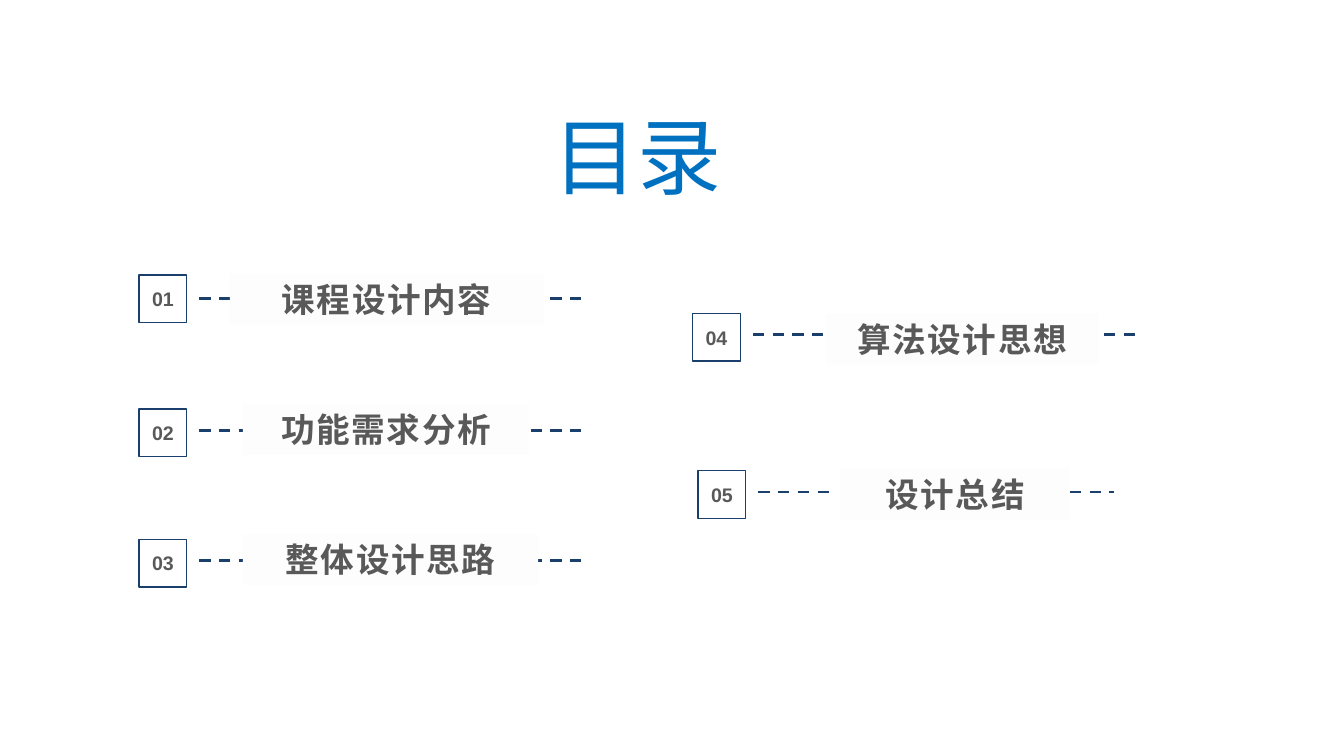
from dataclasses import dataclass
from pptx import Presentation
from pptx import util as u
from pptx.dml.color import RGBColor
from pptx.enum import dml, shapes, text
from pptx.oxml.ns import qn
from lxml import etree


@dataclass(frozen=True)
class Theme:
    font: str = "Arial"
    blue: str = "0070C0"
    navy: str = "1A3F6C"
    gray: str = "595959"
    pale: str = "FDFDFE"
    title: int = 60
    label: int = 24
    num: int = 14


class Deck:
    def __init__(self, theme):
        self.theme = theme
        self.prs = Presentation()
        self.prs.slide_width, self.prs.slide_height = u.Pt(960), u.Pt(540)
        self.slide = self.prs.slides.add_slide(self.prs.slide_layouts[6])

    def words(self, shape, words, size, color, bold=True, align=text.PP_ALIGN.CENTER):
        par = shape.text_frame.paragraphs[0]
        par.text = words
        par.alignment = align
        font = par.font
        font.name, font.size, font.bold = self.theme.font, u.Pt(size), bold
        font.color.rgb = RGBColor.from_string(color)
        return par

    def rect(self, x, y, w, h):
        shape = self.slide.shapes.add_shape(
            shapes.MSO_SHAPE.RECTANGLE, u.Pt(x), u.Pt(y), u.Pt(w), u.Pt(h))
        shape.shadow.inherit = False
        return shape

    def title(self, words, x, y, w, h):
        box = self.slide.shapes.add_textbox(u.Pt(x), u.Pt(y), u.Pt(w), u.Pt(h))
        box.text_frame.word_wrap = True
        box.text_frame.auto_size = text.MSO_AUTO_SIZE.SHAPE_TO_FIT_TEXT
        self.words(box, words, self.theme.title, self.theme.blue, False,
                   text.PP_ALIGN.JUSTIFY)

    def badge(self, num, x, y, side=34):
        box = self.rect(x, y, side, side)
        box.fill.background()
        box.line.color.rgb = RGBColor.from_string(self.theme.navy)
        box.line.width = u.Pt(1)
        frame = box.text_frame
        frame.vertical_anchor = text.MSO_ANCHOR.MIDDLE
        frame.margin_left = frame.margin_right = 0
        self.words(box, num, self.theme.num, self.theme.gray)

    def dash(self, x, y, w):
        line = self.slide.shapes.add_connector(
            shapes.MSO_CONNECTOR.STRAIGHT, u.Pt(x), u.Pt(y), u.Pt(x + w), u.Pt(y))
        line.line.color.rgb = RGBColor.from_string(self.theme.navy)
        line.line.width = u.Pt(0)
        line.line.dash_style = dml.MSO_LINE.DASH
        etree.SubElement(line._element.spPr, qn("a:effectLst"))

    def label(self, words, x, y, w, h=36):
        box = self.rect(x, y, w, h)
        box.fill.solid()
        box.fill.fore_color.rgb = RGBColor.from_string(self.theme.pale)
        box.line.fill.background()
        frame = box.text_frame
        frame.word_wrap = True
        frame.auto_size = text.MSO_AUTO_SIZE.SHAPE_TO_FIT_TEXT
        frame.vertical_anchor = text.MSO_ANCHOR.TOP
        par = self.words(box, words, self.theme.label, self.theme.gray)
        par.runs[0]._r.get_or_add_rPr().set("spc", "120")

    def item(self, num, words, x, y, rule, left, top, wide, tail=54.5):
        self.badge(num, x, y)
        self.dash(x + 43, rule, 54.5)
        self.dash(x + 265.5, rule, tail)
        self.label(words, left, top, wide)


deck = Deck(Theme())
deck.title("目录", 388, 71.3, 152.6, 80)
items = [
    ("课程设计内容", 99.4, 196.4, 213.1, 164.2, 195.8, 224),
    ("功能需求分析", 99.4, 292.2, 307.4, 173.5, 288.7, 204.5),
    ("整体设计思路", 99.4, 385.2, 400.3, 173.5, 381.6, 211),
    ("算法设计思想", 494.8, 223.9, 239, 589.7, 224.2, 195),
    ("设计总结", 498.7, 336.2, 351.4, 600.5, 334.8, 163.4, 31.7),
]
for num, item in enumerate(items, 1):
    deck.item(f"{num:02}", *item)
deck.prs.save("out.pptx")
